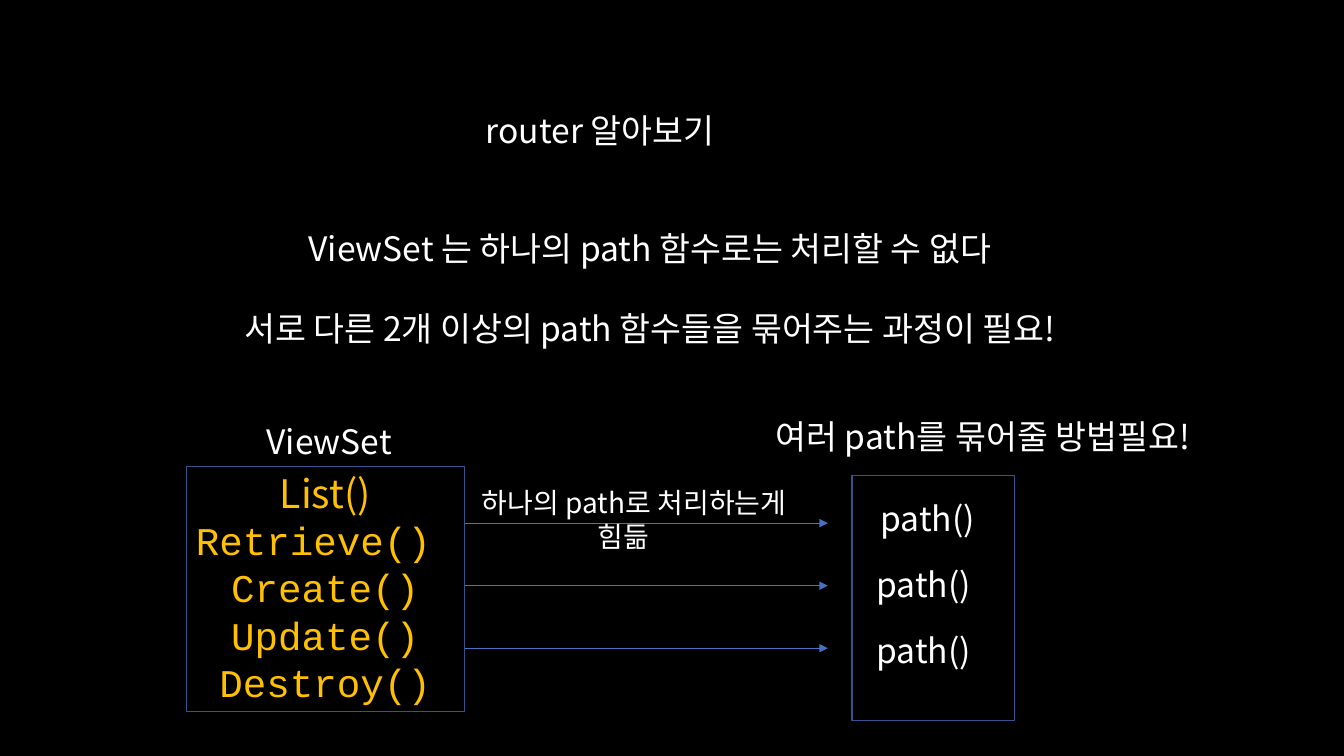
import pptx
import pptx.dml.color
import pptx.enum.shapes
import pptx.enum.text
import pptx.util
from lxml import etree
from pptx.oxml.ns import qn

Inches = pptx.util.Inches
Pt = pptx.util.Pt
ALIGN = pptx.enum.text.PP_ALIGN
COLORS = {
    "background": "000000",
    "text": "FFFFFF",
    "method": "FFC000",
    "frame": "325491",
    "arrow": "4472C4",
}
SANS = "Noto Sans CJK KR"
MONO = "Courier New"


def rgb(key):
    return pptx.dml.color.RGBColor.from_string(COLORS[key])


def add_line(frame, text, first=False, size=24, color="text", font=SANS,
             align=ALIGN.LEFT, before=0, indent=0):
    paragraph = frame.paragraphs[0] if first else frame.add_paragraph()
    paragraph.alignment = align
    paragraph.space_before = Pt(before)
    if indent:
        paragraph._p.get_or_add_pPr().set("marL", str(Inches(indent)))
    run = paragraph.add_run()
    run.text = text
    run.font.size = Pt(size)
    run.font.color.rgb = rgb(color)
    run.font.name = font
    east_asian = etree.SubElement(run._r.get_or_add_rPr(), qn("a:ea"))
    east_asian.set("typeface", font)


def add_text(slide, left, top, width, height, lines, wrap=False, **shared):
    box = slide.shapes.add_textbox(
        Inches(left), Inches(top), Inches(width), Inches(height))
    frame = box.text_frame
    frame.word_wrap = wrap
    frame.auto_size = pptx.enum.text.MSO_AUTO_SIZE.SHAPE_TO_FIT_TEXT
    for index, (text, own) in enumerate(lines):
        add_line(frame, text, first=index == 0, **{**shared, **own})


def add_frame(slide, left, top, width, height):
    frame = slide.shapes.add_shape(
        pptx.enum.shapes.MSO_SHAPE.RECTANGLE,
        Inches(left), Inches(top), Inches(width), Inches(height))
    frame.shadow.inherit = False
    frame.fill.background()
    frame.line.color.rgb = rgb("frame")
    frame.line.width = Pt(1)


def add_arrow(slide, start, end, y):
    arrow = slide.shapes.add_connector(
        pptx.enum.shapes.MSO_CONNECTOR.STRAIGHT,
        Inches(start), Inches(y), Inches(end), Inches(y))
    arrow.line.color.rgb = rgb("arrow")
    arrow.line.width = Pt(0.5)
    tail = etree.SubElement(arrow.line._get_or_add_ln(), qn("a:tailEnd"))
    tail.set("type", "triangle")
    etree.SubElement(arrow._element.spPr, qn("a:effectLst"))


def main():
    deck = pptx.Presentation()
    deck.slide_width = Inches(13.33)
    deck.slide_height = Inches(7.5)
    slide = deck.slides.add_slide(deck.slide_layouts[6])
    slide.background.fill.solid()
    slide.background.fill.fore_color.rgb = rgb("background")

    add_text(slide, 4.72, 1.04, 2.71, 0.5, [("router 알아보기 ", {})])
    add_text(slide, 1.85, 2.21, 9.19, 2.02, [
        ("ViewSet 는 하나의 path 함수로는 처리할 수 없다", {}),
        ("서로 다른 2개 이상의 path 함수들을 묶어주는 과정이 필요!",
         {"before": 28.5}),
    ], align=ALIGN.CENTER)

    add_frame(slide, 1.85, 4.63, 2.76, 2.43)
    add_text(slide, 2.47, 4.13, 1.52, 0.5, [(" ViewSet", {})])
    methods = ["Retrieve() ", "Create()", "Update()", "Destroy()"]
    add_text(slide, -0.11, 4.61, 6.67, 2.46,
             [("List()", {"font": SANS})] + [(name, {}) for name in methods],
             wrap=True, size=28, color="method", font=MONO,
             align=ALIGN.CENTER)

    for row in range(3):
        add_arrow(slide, 4.61, 8.21, 5.19 + 0.62 * row)
    add_text(slide, 4.68, 4.77, 3.64, 0.79, [
        ("하나의 path로 처리하는게 ", {}),
        ("힘듦", {"indent": 1.15}),
    ], size=20)

    for row, left in enumerate([8.56, 8.52, 8.52]):
        add_text(slide, left, 4.89 + 0.655 * row, 1.21, 0.5, [(" path()", {})])
    add_frame(slide, 8.45, 4.72, 1.61, 2.43)
    add_text(slide, 7.52, 4.08, 4.83, 0.81,
             [(" 여러 path를 묶어줄 방법필요!", {})])

    deck.save("out.pptx")


main()
